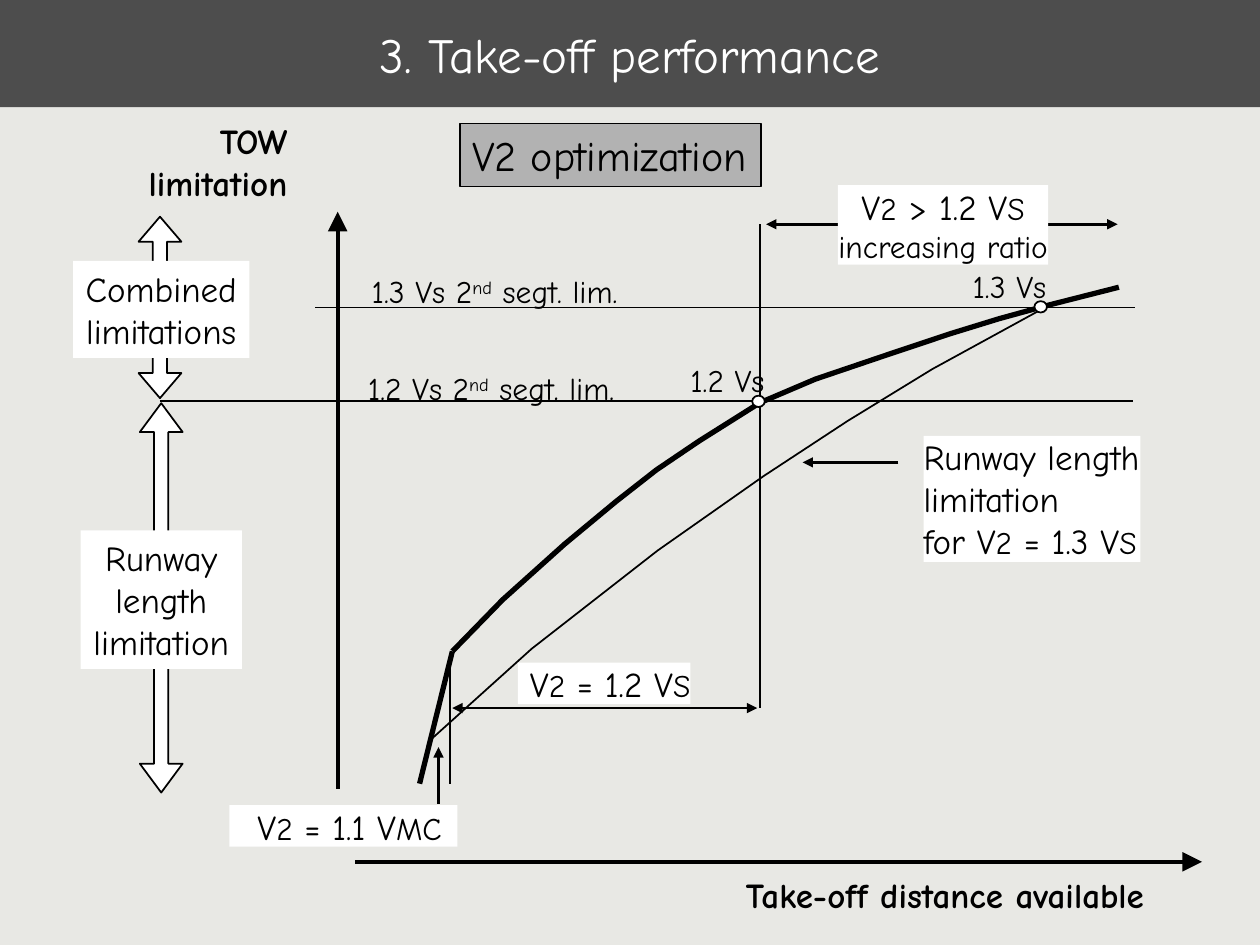
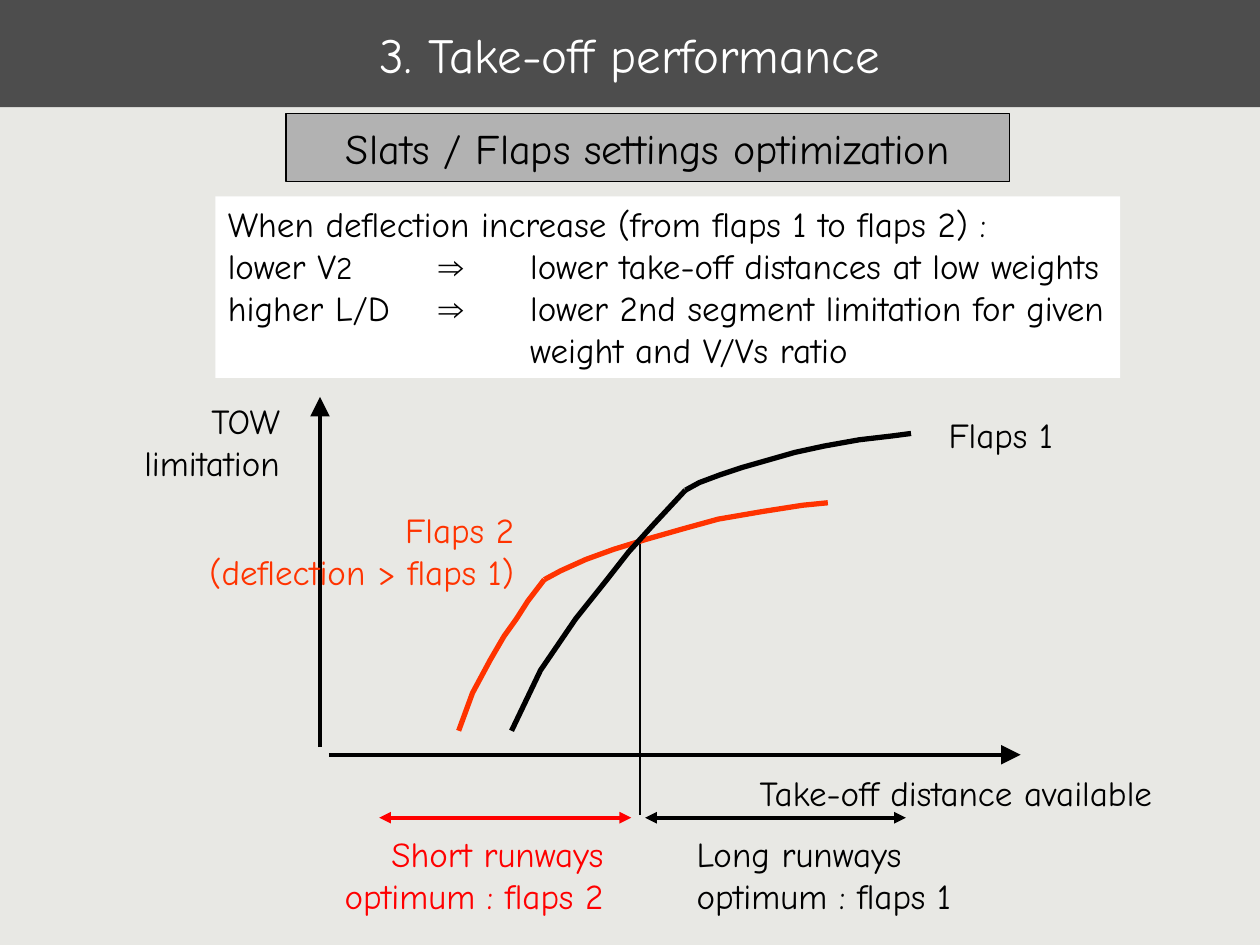
import pptx
import pptx.dml.color
import pptx.enum.shapes
import pptx.enum.text
import pptx.oxml.ns
import pptx.util
from lxml import etree

Inches = pptx.util.Inches
Pt = pptx.util.Pt
RGB = pptx.dml.color.RGBColor
Align = pptx.enum.text.PP_ALIGN
Anchor = pptx.enum.text.MSO_ANCHOR
Fit = pptx.enum.text.MSO_AUTO_SIZE
Shape = pptx.enum.shapes.MSO_SHAPE
qn = pptx.oxml.ns.qn

PAPER = RGB(0xE8, 0xE8, 0xE4)
BAND = RGB(0x4D, 0x4D, 0x4D)
GREY = RGB(0xB2, 0xB2, 0xB2)
WHITE = RGB(0xFF, 0xFF, 0xFF)
BLACK = RGB(0, 0, 0)
ORANGE = RGB(0xFF, 0x33, 0x00)
RED = RGB(0xFF, 0, 0)

FONT = "Comic Neue"
SMALL = 18
PAD = (0.1, 0.05, 0.1, 0.05)
FLUSH = (0, 0, 0, 0)
SHIFT = (0.1, 0, 0, 0)
BREAK = "\n"
IMPLY = ("⇒\t", 20, "Arial")


def add_run(para, item, size, color, bold):
    if item == BREAK:
        para.add_line_break()
        return
    text, size, face = item if isinstance(item, tuple) else (item, size, FONT)
    run = para.add_run()
    run.text = text
    run.font.size = Pt(size)
    run.font.name = face
    run.font.bold = bold
    run.font.color.rgb = color
    if text == "nd":
        run.font._element.set("baseline", "30000")


def small(text):
    return (text, SMALL, FONT)


def add_tabs(para, stops):
    tabs = etree.SubElement(para._p.get_or_add_pPr(), qn("a:tabLst"))
    for stop in stops:
        etree.SubElement(tabs, qn("a:tab"), pos=str(Inches(stop)), algn="l")


def paint(shape, fill, edge):
    shape.shadow.inherit = False
    if fill is None:
        shape.fill.background()
    else:
        shape.fill.solid()
        shape.fill.fore_color.rgb = fill
    if edge:
        shape.line.color.rgb = BLACK
        shape.line.width = Pt(edge)
    else:
        shape.line.fill.background()


def add_label(slide, box, paras, size=20, color=BLACK, align=Align.LEFT, bold=False,
              fill=None, edge=0, pad=PAD, fixed=False, anchor=Anchor.TOP, tabs=()):
    area = [Inches(n) for n in box]
    if fill is None:
        shape = slide.shapes.add_textbox(*area)
    else:
        shape = slide.shapes.add_shape(Shape.RECTANGLE, *area)
        paint(shape, fill, edge)
    frame = shape.text_frame
    frame.word_wrap = fixed
    frame.auto_size = Fit.NONE if fixed else Fit.SHAPE_TO_FIT_TEXT
    frame.vertical_anchor = anchor
    (frame.margin_left, frame.margin_top,
     frame.margin_right, frame.margin_bottom) = [Inches(n) for n in pad]
    for i, items in enumerate(paras):
        para = frame.add_paragraph() if i else frame.paragraphs[0]
        para.alignment = align
        if tabs:
            add_tabs(para, tabs)
        for item in [items] if isinstance(items, str) else items:
            add_run(para, item, size, color, bold)


def add_line(slide, start, end, width=1, color=BLACK, heads=(), head="med"):
    line = slide.shapes.add_connector(
        pptx.enum.shapes.MSO_CONNECTOR.STRAIGHT, *[Inches(n) for n in (*start, *end)])
    line.line.color.rgb = color
    line.line.width = Pt(width)
    props = line.element.spPr
    for side in heads:
        etree.SubElement(props.find(qn("a:ln")), qn("a:" + side),
                         type="triangle", w=head, len=head)
    etree.SubElement(props, qn("a:effectLst"))


def add_arrow(slide, start, end):
    add_line(slide, start, end, 1.5, heads=("tailEnd",))


def add_axis(slide, start, end):
    add_line(slide, start, end, 2.25, heads=("tailEnd",), head="lg")


def add_span(slide, left, right, y, width=1.5, color=BLACK):
    add_line(slide, (left, y), (right, y), width, color, ("headEnd", "tailEnd"))


def add_curve(slide, points, width=3, color=BLACK):
    spots = [(Inches(x), Inches(y)) for x, y in points]
    pen = slide.shapes.build_freeform(*spots[0])
    pen.add_line_segments(spots[1:], close=False)
    curve = pen.convert_to_shape()
    paint(curve, None, width)
    curve.line.color.rgb = color


def add_mark(slide, kind, box):
    mark = slide.shapes.add_shape(kind, *[Inches(n) for n in box])
    paint(mark, WHITE, 1)
    return mark


def add_page(deck):
    slide = deck.slides.add_slide(deck.slide_layouts[6])
    slide.background.fill.solid()
    slide.background.fill.fore_color.rgb = PAPER
    add_label(slide, (0, 0, 10, 0.85), ["3. Take-off performance"], 28, WHITE,
              Align.CENTER, fill=BAND, fixed=True, anchor=Anchor.MIDDLE)
    return slide


def add_level(slide, ratio, left, right, y, spot):
    add_label(slide, (*spot, 2.1, 0.3),
              [[f"{ratio} Vs 2", small("nd"), " segt. lim."]], SMALL, pad=FLUSH)
    add_line(slide, (left, y), (right, y))


def add_point(slide, ratio, left, top):
    add_mark(slide, Shape.OVAL, (left, top, 0.1, 0.09))
    add_label(slide, (left - 0.59, top - 0.32, 0.79, 0.4), [f"{ratio} Vs"], SMALL)


def add_zone(slide, arrow, bend, box, words):
    mark = add_mark(slide, Shape.UP_DOWN_ARROW, arrow)
    guides = mark.element.spPr.find(qn("a:prstGeom")).find(qn("a:avLst"))
    guides.clear()
    for name, value in (("adj1", 33300), ("adj2", bend)):
        etree.SubElement(guides, qn("a:gd"), name=name, fmla=f"val {value}")
    add_label(slide, box, words, align=Align.CENTER, fill=WHITE)


def draw_speed(slide):
    add_label(slide, (5.92, 6.93, 3.2, 0.33), ["Take-off distance available"],
              bold=True, pad=FLUSH)
    add_axis(slide, (2.82, 6.84), (9.54, 6.84))
    add_axis(slide, (2.68, 6.26), (2.68, 1.68))
    add_label(slide, (1.07, 0.9, 1.31, 0.77), ["TOW", "limitation"],
              align=Align.RIGHT, bold=True)

    add_curve(slide, [(3.59, 5.17), (3.99, 4.76), (4.48, 4.32), (4.89, 3.98),
                      (5.21, 3.73), (5.55, 3.5), (6.01, 3.21)])
    add_line(slide, (3.33, 6.22), (3.59, 5.17), 3)
    add_curve(slide, [(6, 3.21), (6.47, 3.01), (7.06, 2.81), (7.54, 2.65),
                      (7.93, 2.53), (8.33, 2.42), (8.88, 2.28)])

    add_level(slide, "1.2", 1.27, 8.99, 3.18, (2.92, 2.93))
    add_zone(slide, (1.11, 3.2, 0.34, 3.09), 67400, (0.64, 4.21, 1.28, 1.1),
             ["Runway", "length", "limitation"])
    add_zone(slide, (1.1, 1.72, 0.34, 1.44), 58500, (0.58, 2.07, 1.4, 0.77),
             ["Combined", "limitations"])
    add_level(slide, "1.3", 2.5, 9.01, 2.44, (2.95, 2.16))

    add_curve(slide, [(3.42, 5.87), (4.22, 5.15), (5.22, 4.37), (6.06, 3.78),
                      (6.73, 3.34), (7.4, 2.93), (8.35, 2.41)], 1)
    add_label(slide, (7.33, 3.46, 1.72, 1),
              ["Runway length", "limitation",
               ["for V", small("2"), " = 1.3 V", small("S")]],
              fill=WHITE, pad=FLUSH)
    add_arrow(slide, (7.13, 3.67), (6.37, 3.67))

    add_label(slide, (1.82, 6.39, 1.81, 0.33),
              [["V", small("2"), " = 1.1 V", small("MC")]],
              align=Align.CENTER, fill=WHITE, pad=SHIFT, fixed=True)
    add_line(slide, (3.57, 6.22), (3.57, 5.18))
    add_arrow(slide, (3.48, 6.38), (3.48, 5.93))
    add_span(slide, 6.01, 3.59, 5.62)
    add_label(slide, (4.11, 5.26, 1.37, 0.33),
              [["V", small("2"), " = 1.2 V", small("S")]],
              align=Align.RIGHT, fill=WHITE, pad=FLUSH, fixed=True)
    add_line(slide, (6.03, 1.78), (6.03, 5.62))
    add_span(slide, 8.87, 6.08, 1.78)
    add_label(slide, (6.65, 1.47, 1.67, 0.63),
              [["V", small("2"), " > 1.2 V", small("S"), BREAK,
                small("increasing ratio")]],
              align=Align.CENTER, fill=WHITE, pad=FLUSH)
    add_point(slide, "1.2", 5.97, 3.14)
    add_point(slide, "1.3", 8.21, 2.39)
    add_label(slide, (3.65, 0.98, 2.39, 0.5), ["V2 optimization"], 24,
              fill=GREY, edge=1)


def draw_flaps(slide):
    add_line(slide, (5.08, 6.47), (5.08, 4.28))
    add_label(slide, (6.03, 6.12, 3.16, 0.33), ["Take-off distance available"], pad=FLUSH)
    add_axis(slide, (2.61, 5.99), (8.1, 5.99))
    add_axis(slide, (2.54, 5.93), (2.54, 3.15))
    add_label(slide, (1.04, 3.12, 1.28, 0.77), ["TOW", "limitation"], align=Align.RIGHT)

    add_curve(slide, [(4.32, 4.6), (4.45, 4.53), (4.65, 4.44), (4.87, 4.36),
                      (5.13, 4.28), (5.41, 4.2), (5.7, 4.12), (6.05, 4.06),
                      (6.37, 4.01), (6.57, 3.99)], color=ORANGE)
    add_curve(slide, [(3.64, 5.8), (3.75, 5.5), (3.89, 5.24), (4, 5.05),
                      (4.1, 4.91), (4.19, 4.77), (4.32, 4.6)], color=ORANGE)
    add_curve(slide, [(5.44, 3.89), (5.55, 3.83), (5.71, 3.77), (5.89, 3.71),
                      (6.1, 3.65), (6.31, 3.59), (6.54, 3.54), (6.82, 3.49),
                      (7.08, 3.46), (7.23, 3.44)])
    add_curve(slide, [(4.06, 5.8), (4.29, 5.32), (4.57, 4.91), (4.81, 4.61),
                      (4.99, 4.38), (5.18, 4.17), (5.44, 3.89)])

    add_label(slide, (1.56, 3.99, 2.62, 0.77), ["Flaps 2", "(deflection > flaps 1)"],
              color=ORANGE, align=Align.RIGHT)
    add_label(slide, (7.43, 3.23, 1.03, 0.44), ["Flaps 1"])
    add_label(slide, (2.63, 6.56, 2.26, 0.77), ["Short runways", "optimum : flaps 2"],
              color=RED, align=Align.RIGHT)
    add_label(slide, (5.43, 6.56, 2.22, 0.77), ["Long runways", "optimum : flaps 1"])
    add_span(slide, 5.01, 3.01, 6.49, 2.25, RED)
    add_span(slide, 7.19, 5.12, 6.49, 2.25)

    add_label(slide, (2.27, 0.9, 5.74, 0.54), ["Slats / Flaps settings optimization"], 24,
              align=Align.CENTER, fill=GREY, edge=0.75, fixed=True, anchor=Anchor.MIDDLE)
    add_label(slide, (1.71, 1.56, 7.18, 1.44),
              ["When deflection increase (from flaps 1 to flaps 2) :",
               ["lower V", small("2"), "\t", IMPLY,
                "lower take-off distances at low weights"],
               ["higher L/D\t", IMPLY, "lower 2nd segment limitation for given",
                BREAK, "\t\tweight and V/Vs ratio"]],
              fill=WHITE, tabs=(1.67, 2.4))


def main():
    deck = pptx.Presentation()
    deck.slide_width, deck.slide_height = Inches(10), Inches(7.5)
    draw_speed(add_page(deck))
    draw_flaps(add_page(deck))
    deck.save("out.pptx")


if __name__ == "__main__":
    main()
